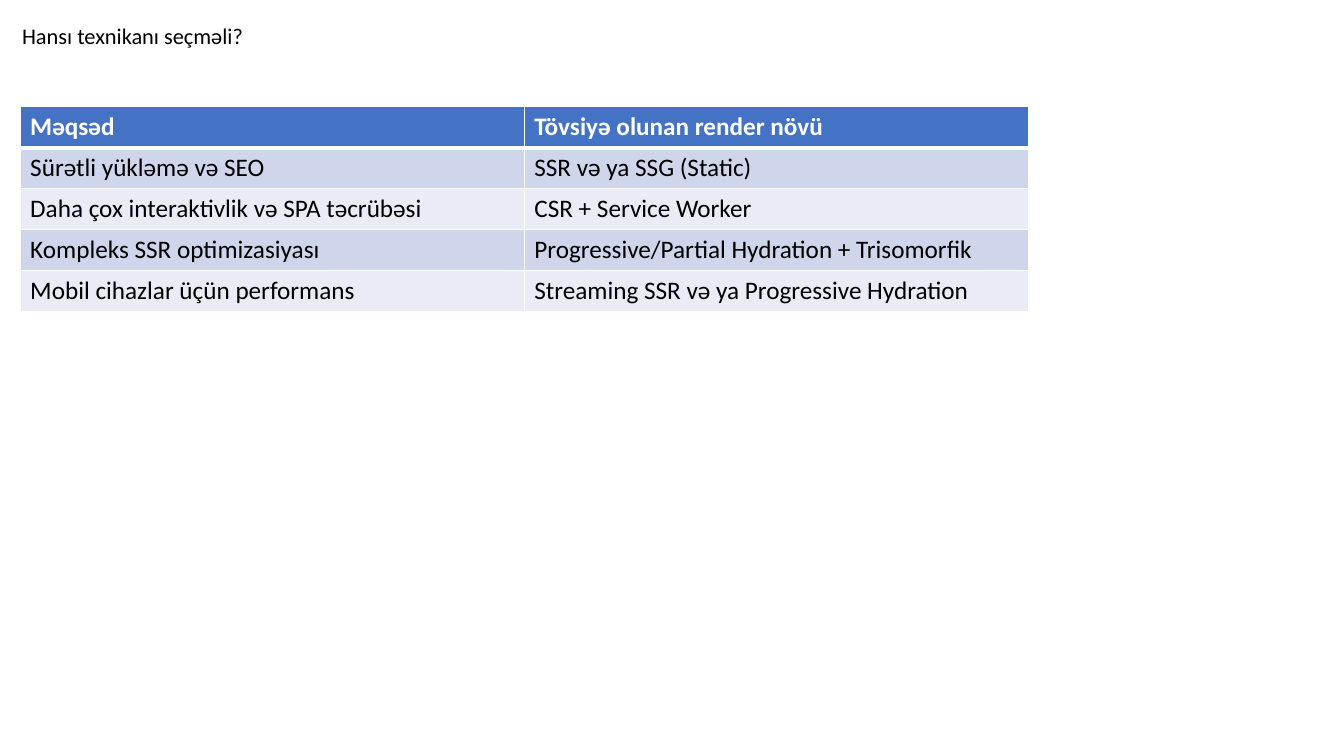
from dataclasses import dataclass

from lxml.etree import SubElement
from pptx import Presentation
from pptx.dml.color import RGBColor
from pptx.enum.text import MSO_ANCHOR, MSO_AUTO_SIZE
from pptx.oxml.ns import qn
from pptx.util import Inches, Pt


@dataclass(frozen=True)
class Theme:
    """Colours, font and type sizes of the slide."""

    font: str = "Calibri"
    ink: str = "000000"
    white: str = "FFFFFF"
    header: str = "4472C4"
    bands: tuple = ("CFD5EA", "E9EBF5")
    title_size: int = 16
    table_size: int = 18
    rule: int = 1
    header_rule: int = 3


THEME = Theme()

RECOMMENDATIONS = [
    ("Məqsəd", "Tövsiyə olunan render növü"),
    ("Sürətli yükləmə və SEO", "SSR və ya SSG (Static)"),
    ("Daha çox interaktivlik və SPA təcrübəsi", "CSR + Service Worker"),
    ("Kompleks SSR optimizasiyası", "Progressive/Partial Hydration + Trisomorfik"),
    ("Mobil cihazlar üçün performans", "Streaming SSR və ya Progressive Hydration"),
]


def write_text(frame, text, size, color=THEME.ink, bold=False):
    """Write one formatted run into a text frame."""
    run = frame.paragraphs[0].add_run()
    run.text = text
    run.font.name = THEME.font
    run.font.size = Pt(size)
    run.font.bold = bold
    run.font.color.rgb = RGBColor.from_string(color)


def add_title(slide, text):
    """Add the question above the table."""
    title = slide.shapes.add_textbox(Inches(0.12), Inches(0.17), Inches(13.11), Inches(0.37))
    title.text_frame.word_wrap = True
    title.text_frame.auto_size = MSO_AUTO_SIZE.SHAPE_TO_FIT_TEXT
    write_text(title.text_frame, text, size=THEME.title_size)


def set_borders(cell, **widths):
    """Draw white cell borders with the given widths in points."""
    properties = cell._tc.get_or_add_tcPr()
    for side, width in widths.items():
        border = SubElement(properties, qn(f"a:ln{side}"), w=str(Pt(width)))
        fill = SubElement(border, qn("a:solidFill"))
        SubElement(fill, qn("a:srgbClr"), val=THEME.white)


def format_cell(cell, text, row_number):
    """Fill, border and label one cell according to its row."""
    is_header = row_number == 0
    top = THEME.header_rule if row_number == 1 else THEME.rule
    bottom = THEME.header_rule if is_header else THEME.rule
    set_borders(cell, L=THEME.rule, R=THEME.rule, T=top, B=bottom)
    color = THEME.header if is_header else THEME.bands[(row_number - 1) % 2]
    cell.fill.solid()
    cell.fill.fore_color.rgb = RGBColor.from_string(color)
    cell.vertical_anchor = MSO_ANCHOR.MIDDLE
    write_text(
        cell.text_frame,
        text,
        size=THEME.table_size,
        color=THEME.white if is_header else THEME.ink,
        bold=is_header,
    )


def add_recommendations(slide, rows):
    """Add the table of goals and recommended rendering types."""
    recommendations = slide.shapes.add_table(
        len(rows), len(rows[0]), Inches(0.2), Inches(1.06), Inches(10), Inches(2.03)
    ).table
    for row_number, texts in enumerate(rows):
        for column_number, text in enumerate(texts):
            format_cell(recommendations.cell(row_number, column_number), text, row_number)


def main():
    """Build and save the slide."""
    presentation = Presentation()
    presentation.slide_width = Inches(13.33)
    presentation.slide_height = Inches(7.5)
    slide = presentation.slides.add_slide(presentation.slide_layouts[6])
    add_title(slide, "Hansı texnikanı seçməli?")
    add_recommendations(slide, RECOMMENDATIONS)
    presentation.save("out.pptx")


if __name__ == "__main__":
    main()
